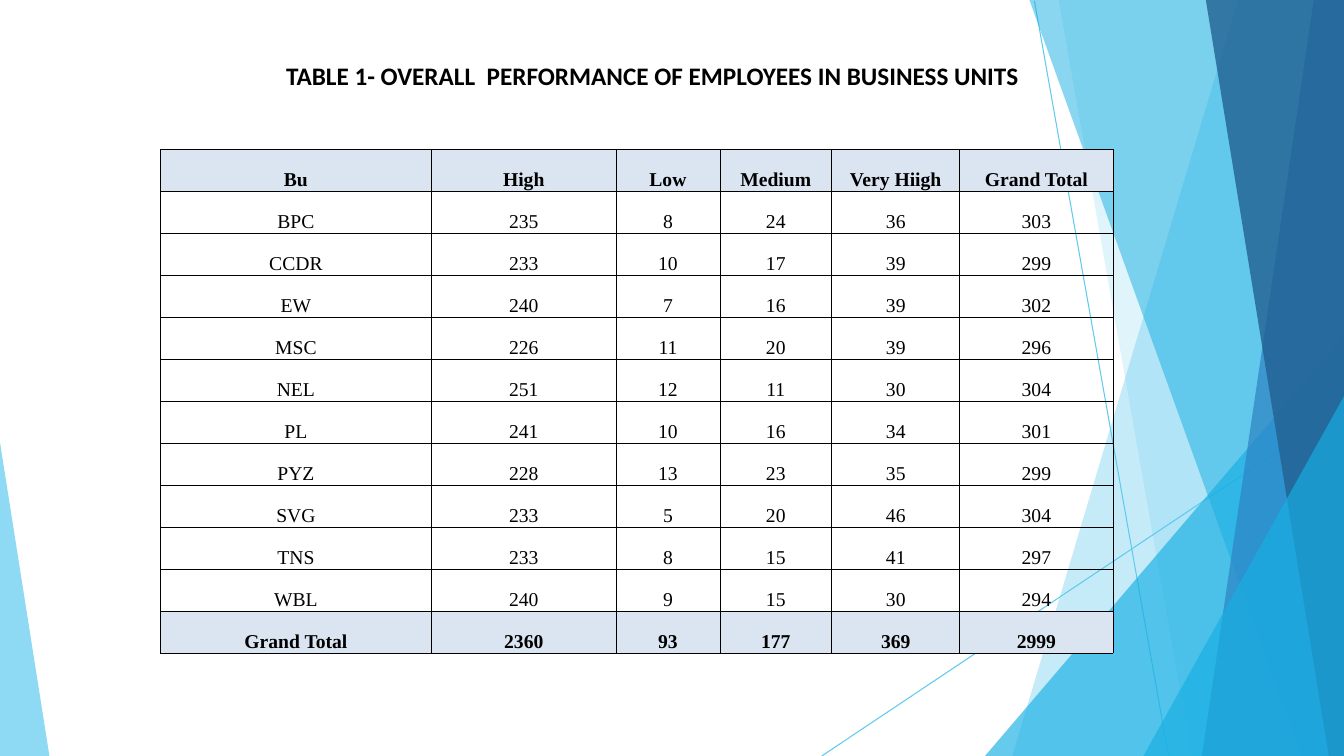
from dataclasses import dataclass

from lxml import etree
from pptx import Presentation
from pptx import util as u
from pptx.dml.color import RGBColor
from pptx.enum import shapes, text
from pptx.oxml import ns
from pptx.slide import Slide
from pptx.table import _Cell as Cell


@dataclass(frozen=True)
class Theme:
    sky: str = "5FCAEE"
    aqua: str = "17AFE3"
    blue: str = "2D83C3"
    navy: str = "226192"
    pale: str = "DBE5F1"
    ink: str = "000000"
    head: str = "Calibri"
    body: str = "Times New Roman"
    title: int = 18
    cell: int = 14
    rule: float = 0.75
    edge: float = 0.5


@dataclass(frozen=True)
class Facet:
    points: list[tuple[float, float]]
    color: str
    alpha: int


@dataclass(frozen=True)
class Ray:
    start: tuple[float, float]
    end: tuple[float, float]


T = Theme()
WIDE, HIGH = 13.33, 7.5


def right(top: float, left: float, foot: float) -> list[tuple[float, float]]:
    """Outline against the right edge, with a slanted left side."""
    slant = [(left, 0), (foot, HIGH)] if top == 0 else [(foot, HIGH)]
    return [(WIDE, top), *slant, (WIDE, HIGH)]


RAYS = [
    Ray((10.26, 0.01), (11.59, HIGH)),
    Ray((WIDE, 4.04), (8.15, HIGH)),
]
FACETS = [
    Facet(right(0, 12.28, 10.04), T.sky, 36),
    Facet(right(0, 10.5, 11.82), T.sky, 20),
    Facet(right(3.33, WIDE, 9.77), T.aqua, 66),
    Facet(right(0, 10.21, 12.91), T.aqua, 50),
    Facet(right(0, 13.03, 11.92), T.blue, 70),
    Facet(right(0, 11.96, 13.18), T.navy, 80),
    Facet(right(3.93, WIDE, 11.34), T.aqua, 66),
    Facet([(0, 4.39), (0, HIGH), (0.49, HIGH)], T.sky, 70),
]
COLS = [2.69, 1.83, 1.03, 1.11, 1.27, 1.52]
ROWS = [
    ("Bu", "High", "Low", "Medium", "Very Hiigh", "Grand Total"),
    ("BPC", 235, 8, 24, 36, 303),
    ("CCDR", 233, 10, 17, 39, 299),
    ("EW", 240, 7, 16, 39, 302),
    ("MSC", 226, 11, 20, 39, 296),
    ("NEL", 251, 12, 11, 30, 304),
    ("PL", 241, 10, 16, 34, 301),
    ("PYZ", 228, 13, 23, 35, 299),
    ("SVG", 233, 5, 20, 46, 304),
    ("TNS", 233, 8, 15, 41, 297),
    ("WBL", 240, 9, 15, 30, 294),
    ("Grand Total", 2360, 93, 177, 369, 2999),
]


def rgb(color: str) -> RGBColor:
    return RGBColor.from_string(color)


def style(para, face: str, size: int, bold: bool) -> None:
    para.alignment = text.PP_ALIGN.CENTER
    for run in para.runs:
        font = run.font
        font.name, font.size, font.bold = face, u.Pt(size), bold
        font.color.rgb = rgb(T.ink)


def draw_ray(slide: Slide, ray: Ray) -> None:
    ends = [u.Inches(n) for n in (*ray.start, *ray.end)]
    line = slide.shapes.add_connector(shapes.MSO_CONNECTOR.STRAIGHT, *ends)
    line.line.color.rgb = rgb(T.sky)
    line.line.width = u.Pt(T.rule)
    etree.SubElement(line._element.spPr, ns.qn("a:effectLst"))


def draw_facet(slide: Slide, facet: Facet) -> None:
    first, *rest = [(u.Inches(x), u.Inches(y)) for x, y in facet.points]
    pen = slide.shapes.build_freeform(*first)
    pen.add_line_segments(rest, close=True)
    shape = pen.convert_to_shape()
    shape.shadow.inherit = False
    shape.line.fill.background()
    shape.fill.solid()
    shape.fill.fore_color.rgb = rgb(facet.color)
    tint = shape._element.spPr.find(".//" + ns.qn("a:srgbClr"))
    etree.SubElement(tint, ns.qn("a:alpha"), val=str(facet.alpha * 1000))


def draw_title(slide: Slide, words: str) -> None:
    title = slide.shapes.title
    title.left, title.top = u.Inches(2.37), u.Inches(0.55)
    title.width, title.height = u.Inches(8.2), u.Inches(0.97)
    frame = title.text_frame
    frame.text = words
    frame.word_wrap = True
    frame.auto_size = text.MSO_AUTO_SIZE.NONE
    frame.vertical_anchor = text.MSO_ANCHOR.TOP
    style(frame.paragraphs[0], T.head, T.title, True)


def draw_cell(cell: Cell, value: str, strong: bool) -> None:
    cell.text_frame.text = value
    style(cell.text_frame.paragraphs[0], T.body, T.cell, strong)
    cell.vertical_anchor = text.MSO_ANCHOR.BOTTOM
    cell.margin_left = cell.margin_right = 0
    cell.margin_top = cell.margin_bottom = 0
    # Borders come before the fill in the cell properties
    props = cell._tc.get_or_add_tcPr()
    for side in ("lnL", "lnR", "lnT", "lnB"):
        edge = etree.SubElement(props, ns.qn("a:" + side), w=str(u.Pt(T.edge)))
        paint = etree.SubElement(edge, ns.qn("a:solidFill"))
        etree.SubElement(paint, ns.qn("a:srgbClr"), val=T.ink)
    if strong:
        cell.fill.solid()
        cell.fill.fore_color.rgb = rgb(T.pale)
    else:
        cell.fill.background()


def draw_table(slide: Slide) -> None:
    box = [u.Inches(n) for n in (1.59, 1.48, sum(COLS), 5)]
    table = slide.shapes.add_table(len(ROWS), len(COLS), *box).table
    table.first_row = table.horz_banding = False
    for col, width in zip(table.columns, COLS):
        col.width = u.Inches(width)
    for r, row in enumerate(ROWS):
        for c, value in enumerate(row):
            draw_cell(table.cell(r, c), str(value), r in (0, len(ROWS) - 1))


def main() -> None:
    deck = Presentation()
    deck.slide_width, deck.slide_height = u.Inches(WIDE), u.Inches(HIGH)
    slide = deck.slides.add_slide(deck.slide_layouts.get_by_name("Title Only"))

    # Backdrop
    for ray in RAYS:
        draw_ray(slide, ray)
    for facet in FACETS:
        draw_facet(slide, facet)

    # Content
    draw_table(slide)
    draw_title(slide, "TABLE 1- OVERALL  PERFORMANCE OF EMPLOYEES IN BUSINESS UNITS")
    deck.save("out.pptx")


if __name__ == "__main__":
    main()
